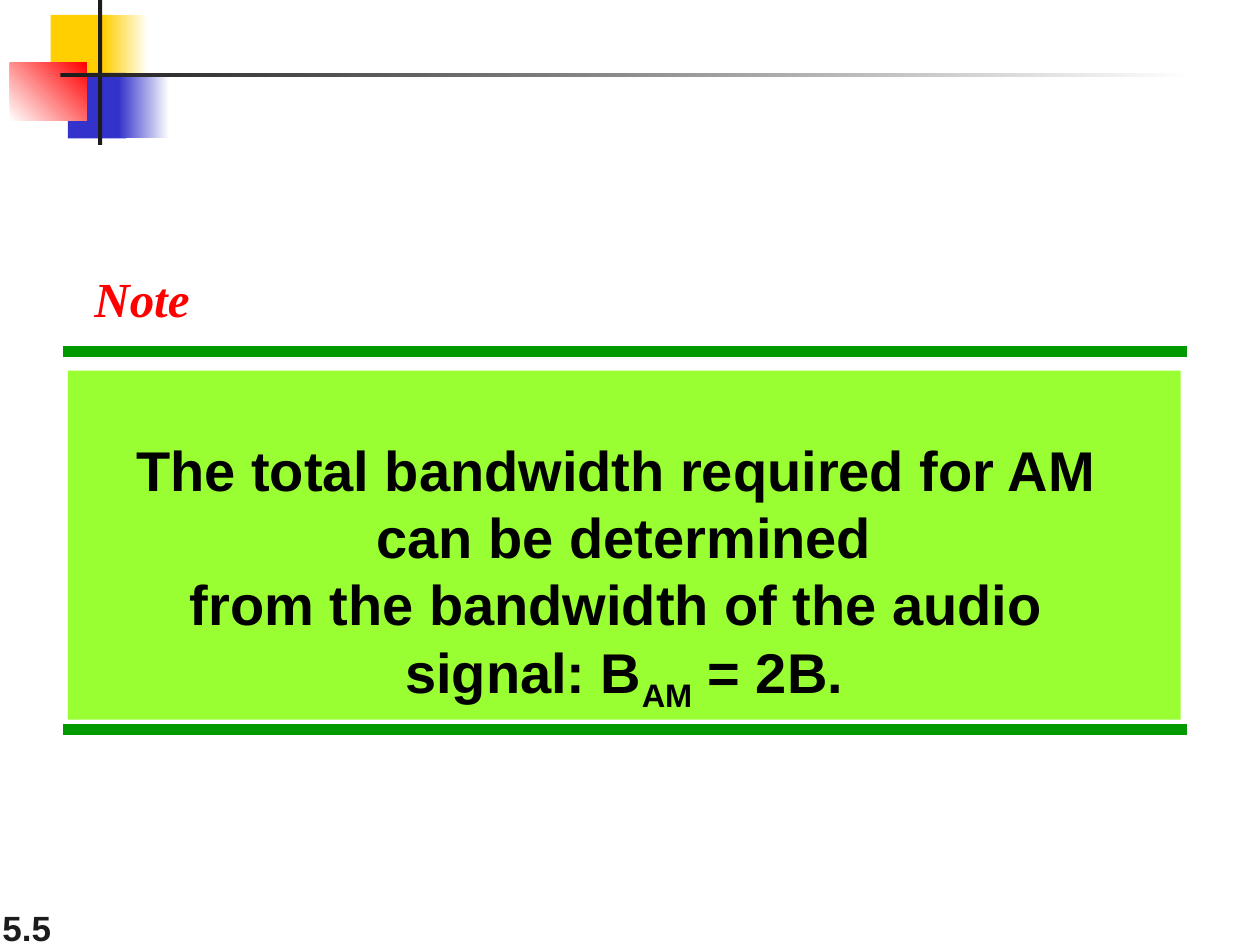
import pptx
import pptx.dml.color
import pptx.enum.shapes
import pptx.enum.text
import pptx.oxml.ns
import pptx.util
from lxml import etree
from pptx.dml.color import RGBColor
from pptx.enum.text import MSO_ANCHOR, PP_ALIGN
from pptx.util import Cm

WHITE = RGBColor(0xFF, 0xFF, 0xFF)
BLACK = RGBColor(0x00, 0x00, 0x00)
CHARCOAL = RGBColor(0x1C, 0x1C, 0x1C)
YELLOW = RGBColor(0xFF, 0xCF, 0x01)
BLUE = RGBColor(0x33, 0x33, 0xCC)
RED = RGBColor(0xFF, 0x00, 0x00)
GREEN = RGBColor(0x00, 0x99, 0x00)
LIME = RGBColor(0x99, 0xFF, 0x33)


class SlideBuilder:
    sans = "Arial"
    serif = "Times New Roman"

    def __init__(self, page):
        self.page = page

    def block(self, left, top, width, height, color, end_color=None, angle=0):
        box = self.page.shapes.add_shape(
            pptx.enum.shapes.MSO_SHAPE.RECTANGLE,
            Cm(left), Cm(top), Cm(width), Cm(height))
        box.shadow.inherit = False
        box.line.fill.background()
        if end_color is None:
            box.fill.solid()
            box.fill.fore_color.rgb = color
        else:
            box.fill.gradient()
            box.fill.gradient_angle = angle
            for stop, shade in zip(box.fill.gradient_stops, (color, end_color)):
                stop.color.rgb = shade
        return box

    def rule(self, left, right, top, color, weight):
        line = self.page.shapes.add_connector(
            pptx.enum.shapes.MSO_CONNECTOR.STRAIGHT,
            Cm(left), Cm(top), Cm(right), Cm(top))
        line.line.color.rgb = color
        line.line.width = pptx.util.Pt(weight)
        etree.SubElement(line._element.spPr, pptx.oxml.ns.qn("a:effectLst"))

    def frame(self, box, anchor, wrap=True):
        box.text_frame.word_wrap = wrap
        box.text_frame.auto_size = pptx.enum.text.MSO_AUTO_SIZE.NONE
        box.text_frame.vertical_anchor = anchor
        return box.text_frame

    def style(self, para, size, color, font, align=PP_ALIGN.LEFT, italic=False):
        para.alignment = align
        para.font.name = font
        para.font.size = pptx.util.Pt(size)
        para.font.bold = True
        para.font.italic = italic
        para.font.color.rgb = color

    def title(self, text, left, top, width, height):
        box = self.page.shapes.title
        box.left, box.top = Cm(left), Cm(top)
        box.width, box.height = Cm(width), Cm(height)
        para = self.frame(box, MSO_ANCHOR.TOP, wrap=False).paragraphs[0]
        para.text = text
        self.style(para, 28, RED, self.serif, italic=True)

    def label(self, text, left, top, width, height):
        box = self.page.shapes.add_textbox(Cm(left), Cm(top), Cm(width), Cm(height))
        para = self.frame(box, MSO_ANCHOR.BOTTOM).paragraphs[0]
        para.text = text
        self.style(para, 20, CHARCOAL, self.sans)

    def statement(self, box, opening, closing, subscript, ending):
        frame = self.frame(box, MSO_ANCHOR.BOTTOM)
        first, second = frame.paragraphs[0], frame.add_paragraph()
        first.text = opening
        second.text = closing
        span = second.add_run()
        span.text = subscript
        span._r.get_or_add_rPr().set("baseline", "-25000")
        second.add_run().text = ending
        for para in (first, second):
            self.style(para, 32, BLACK, self.sans, PP_ALIGN.CENTER)


def main():
    deck = pptx.Presentation()
    deck.slide_width, deck.slide_height = Cm(25.4), Cm(19.05)
    builder = SlideBuilder(deck.slides.add_slide(deck.slide_layouts[5]))

    builder.label("5.5", -0.2, 17.98, 5.28, 1.27)

    builder.block(1.02, 0.3, 1.22, 1.32, YELLOW)
    builder.block(2.08, 0.3, 0.91, 1.32, YELLOW, WHITE)
    builder.block(1.37, 1.47, 1.17, 1.32, BLUE)
    builder.block(2.39, 1.47, 1.02, 1.32, BLUE, WHITE)
    builder.block(0.2, 1.27, 1.55, 1.17, WHITE, RED, angle=45)
    builder.block(1.98, 0, 0.08, 2.92, CHARCOAL)
    builder.block(1.22, 1.47, 22.86, 0.08, CHARCOAL, WHITE)

    for top in (7.09, 14.71):
        builder.rule(1.27, 23.93, top, GREEN, 6)
    panel = builder.block(1.37, 7.47, 22.43, 7.04, LIME)
    builder.statement(
        panel,
        "The total bandwidth required for AM \vcan be determined",
        "from the bandwidth of the audio \vsignal: B", "AM", " = 2B.")
    builder.title("Note", 1.65, 5.28, 2.44, 1.45)

    deck.save("out.pptx")


if __name__ == "__main__":
    main()
